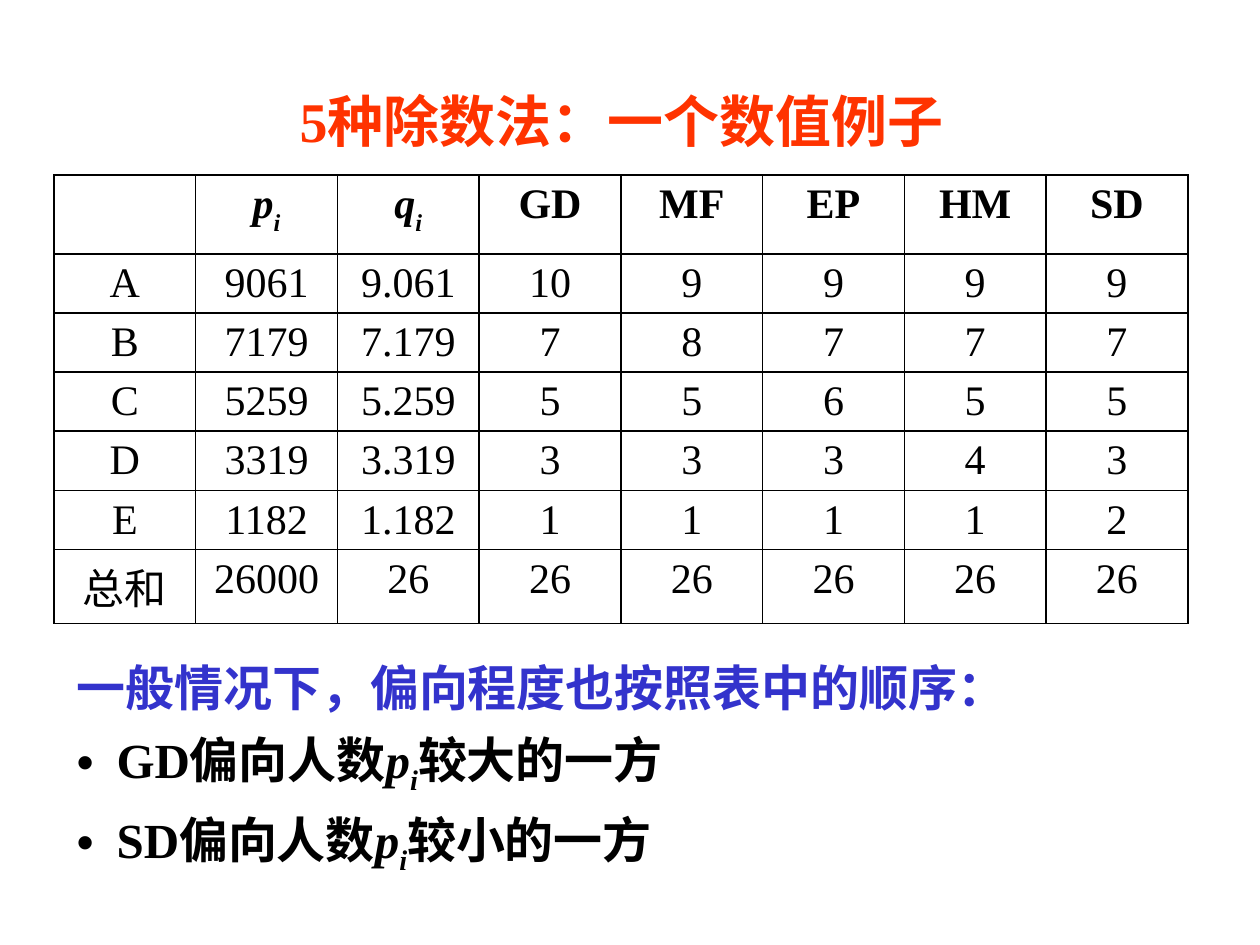
from dataclasses import dataclass

import lxml.etree
import pptx
import pptx.dml.color
import pptx.enum.text
import pptx.oxml.ns
import pptx.util

EMU_PER_PX = 914400 / 126
FONT = "Times New Roman"
RED = pptx.dml.color.RGBColor(0xFF, 0x33, 0x00)
BLUE = pptx.dml.color.RGBColor(0x33, 0x33, 0xCC)
BLACK = pptx.dml.color.RGBColor(0x00, 0x00, 0x00)
CENTER = pptx.enum.text.PP_ALIGN.CENTER
LEFT = pptx.enum.text.PP_ALIGN.LEFT
MIDDLE = pptx.enum.text.MSO_ANCHOR.MIDDLE
TOP = pptx.enum.text.MSO_ANCHOR.TOP


@dataclass(frozen=True)
class Box:
    left: int
    top: int
    width: int
    height: int

    def emu(self) -> tuple:
        return tuple(px(v) for v in (self.left, self.top, self.width, self.height))


@dataclass(frozen=True)
class Piece:
    text: str
    italic: bool = False
    baseline: int = 0


@dataclass(frozen=True)
class Style:
    size: int
    color: pptx.dml.color.RGBColor
    bold: bool = True
    align: pptx.enum.text.PP_ALIGN = LEFT


TITLE_BOX = Box(55, 76, 1134, 89)
TABLE_BOX = Box(54, 175, 1134, 448)
NOTES_BOX = Box(64, 651, 1121, 248)
ROW_HEIGHTS = [79, 59, 59, 59, 59, 59, 74]
BULLET_INDENT = 40

TITLE = Style(32, RED, align=CENTER)
HEADER = Style(24, BLACK, align=CENTER)
VALUE = Style(24, BLACK, bold=False, align=CENTER)
LEAD = Style(28, BLUE)
POINT = Style(28, BLACK)


def px(value: int) -> int:
    return round(value * EMU_PER_PX)


def plain(text: str) -> list[Piece]:
    return [Piece(text)]


def indexed(symbol: str, baseline: int) -> list[Piece]:
    """An italic symbol with the subscript i."""
    return [Piece(symbol, True), Piece("i", True, baseline)]


HEADINGS = [plain(""), indexed("p", -30000), indexed("q", -30000)]
HEADINGS += [plain(name) for name in ("GD", "MF", "EP", "HM", "SD")]

RESULTS = [
    ("A", "9061", "9.061", "10", "9", "9", "9", "9"),
    ("B", "7179", "7.179", "7", "8", "7", "7", "7"),
    ("C", "5259", "5.259", "5", "5", "6", "5", "5"),
    ("D", "3319", "3.319", "3", "3", "3", "4", "3"),
    ("E", "1182", "1.182", "1", "1", "1", "1", "2"),
    ("总和", "26000", "26", "26", "26", "26", "26", "26"),
]

BIASES = [("GD", "较大的一方"), ("SD", "较小的一方")]


def write(p, pieces: list[Piece], style: Style) -> None:
    p.alignment = style.align
    p.font.size = pptx.util.Pt(style.size)
    for piece in pieces:
        if not piece.text:
            continue
        r = p.add_run()
        r.text = piece.text
        r.font.name = FONT
        r.font.size = pptx.util.Pt(style.size)
        r.font.bold = style.bold
        r.font.italic = piece.italic
        r.font.color.rgb = style.color
        if piece.baseline:
            r.font._element.set("baseline", str(piece.baseline))


def place(sp, box: Box, anchor) -> None:
    sp.left, sp.top, sp.width, sp.height = box.emu()
    tf = sp.text_frame
    tf.word_wrap = True
    tf.auto_size = pptx.enum.text.MSO_AUTO_SIZE.NONE
    tf.vertical_anchor = anchor


def add_borders(cell) -> None:
    tc_pr = cell._tc.get_or_add_tcPr()
    for i, side in enumerate(("lnL", "lnR", "lnT", "lnB")):
        ln = lxml.etree.Element(pptx.oxml.ns.qn(f"a:{side}"), w=str(pptx.util.Pt(1)))
        fill = lxml.etree.SubElement(ln, pptx.oxml.ns.qn("a:solidFill"))
        lxml.etree.SubElement(fill, pptx.oxml.ns.qn("a:srgbClr"), val=str(BLACK))
        tc_pr.insert(i, ln)


def add_results_table(s) -> None:
    rows = [HEADINGS] + [[plain(value) for value in row] for row in RESULTS]
    table = s.shapes.add_table(len(rows), len(HEADINGS), *TABLE_BOX.emu()).table
    table.first_row = table.horz_banding = False
    for i, (row, height) in enumerate(zip(rows, ROW_HEIGHTS)):
        table.rows[i].height = px(height)
        for j, pieces in enumerate(row):
            cell = table.cell(i, j)
            cell.fill.background()
            cell.vertical_anchor = TOP
            add_borders(cell)
            write(cell.text_frame.paragraphs[0], pieces, VALUE if i else HEADER)


def set_bullet(p, char: str) -> None:
    """Give the paragraph a hanging bullet, or none if char is empty."""
    indent = px(BULLET_INDENT) if char else 0
    p_pr = p._p.get_or_add_pPr()
    p_pr.set("marL", str(indent))
    p_pr.set("indent", str(-indent))
    if char:
        lxml.etree.SubElement(p_pr, pptx.oxml.ns.qn("a:buChar"), char=char)
    else:
        lxml.etree.SubElement(p_pr, pptx.oxml.ns.qn("a:buNone"))


def add_notes_on_bias(sp) -> None:
    place(sp, NOTES_BOX, TOP)
    p = sp.text_frame.paragraphs[0]
    set_bullet(p, "")
    p.space_before = pptx.util.Pt(0)
    write(p, plain("一般情况下，偏向程度也按照表中的顺序："), LEAD)
    for method, side in BIASES:
        p = sp.text_frame.add_paragraph()
        set_bullet(p, "•")
        p.space_before = pptx.util.Pt(7.5)
        pieces = plain(f"{method}偏向人数") + indexed("p", -25000) + plain(side)
        write(p, pieces, POINT)


def main() -> None:
    prs = pptx.Presentation()
    prs.slide_width, prs.slide_height = px(1260), px(945)
    s = prs.slides.add_slide(prs.slide_layouts[1])
    title, body = s.placeholders
    place(title, TITLE_BOX, MIDDLE)
    write(title.text_frame.paragraphs[0], plain("5种除数法：一个数值例子"), TITLE)
    add_results_table(s)
    add_notes_on_bias(body)
    prs.save("out.pptx")


if __name__ == "__main__":
    main()
